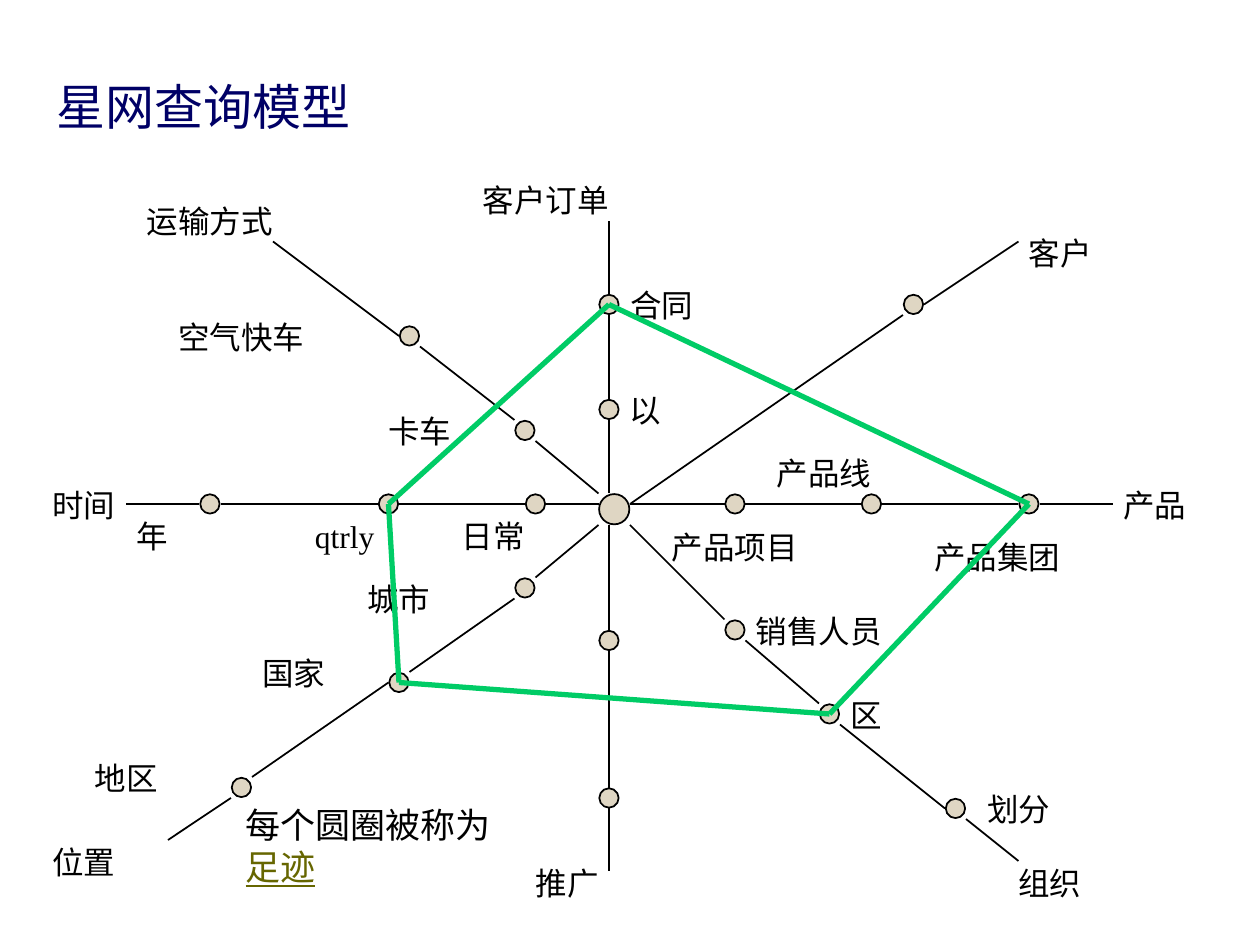
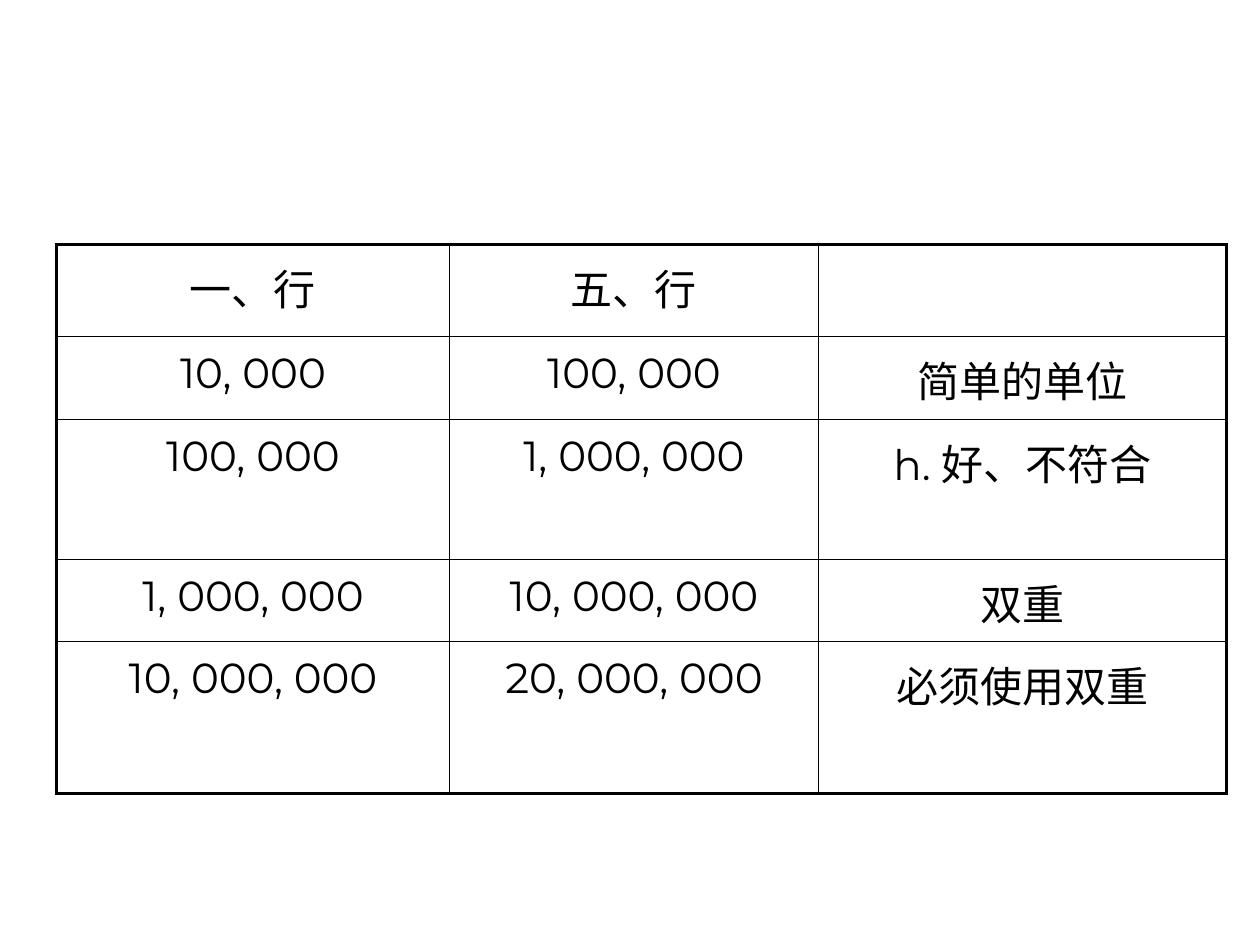
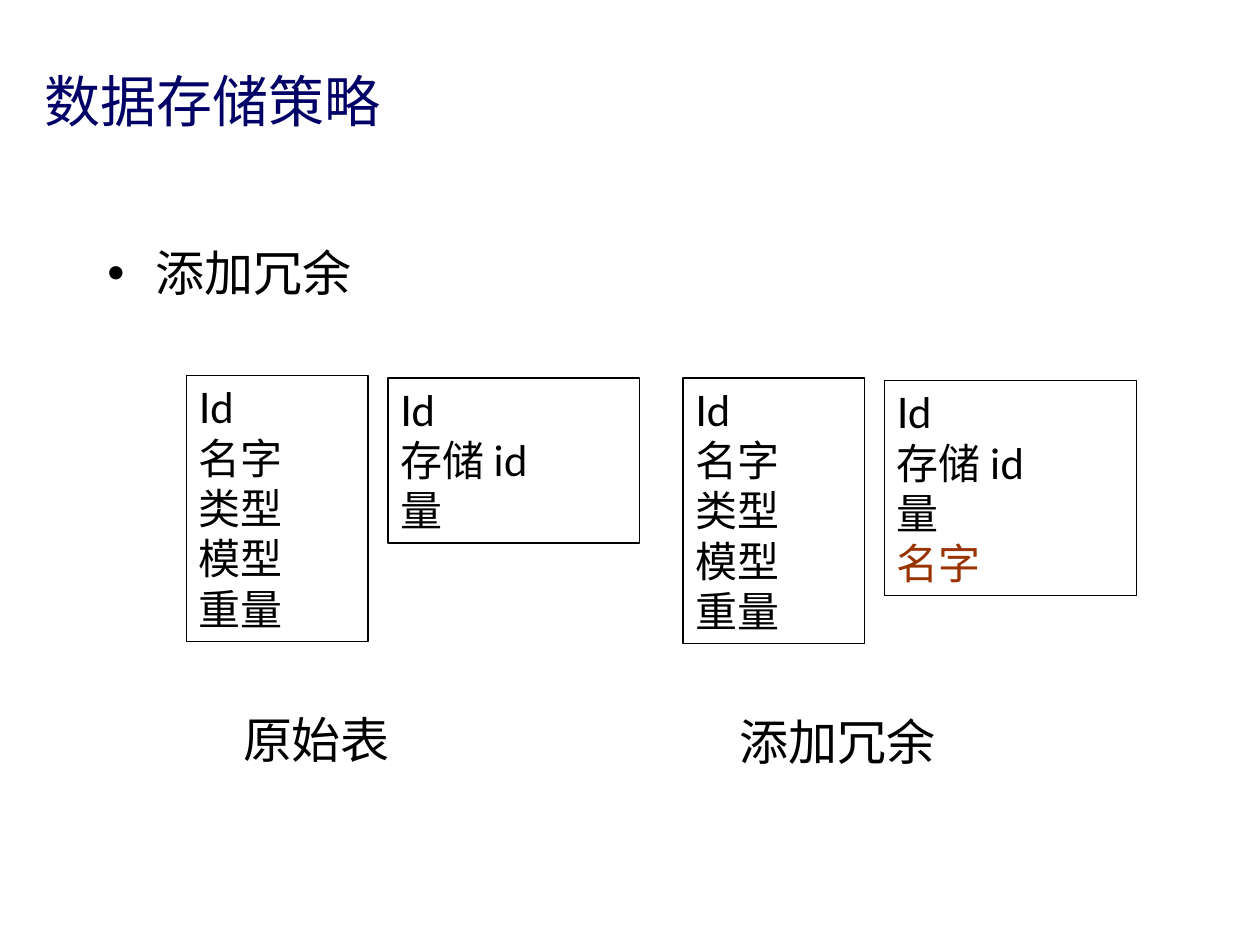
from itertools import pairwise

from pptx import Presentation
from pptx.dml.color import RGBColor
from pptx.enum.shapes import MSO_CONNECTOR, MSO_SHAPE
from pptx.enum.text import MSO_ANCHOR, MSO_AUTO_SIZE, PP_ALIGN
from pptx.oxml.ns import qn
from pptx.util import Cm, Pt
from lxml.etree import SubElement

BLACK = RGBColor(0x00, 0x00, 0x00)
NAVY = RGBColor(0x00, 0x00, 0x66)
SAND = RGBColor(0xDF, 0xD6, 0xC3)
GREEN = RGBColor(0x00, 0xCC, 0x66)
OLIVE = RGBColor(0x66, 0x66, 0x00)
RUST = RGBColor(0x99, 0x33, 0x00)

HEAD, BODY, LABEL = "Montserrat", "Lato", "Times New Roman"
STEP = 2.54 / 12

HUB = (58.5, 48.5)
DOTS = [
    (50, 41), (39, 32), (51, 48), (37, 48), (20, 48), (50, 56), (58, 61),
    (58, 29), (58, 39), (91, 77), (79, 68), (70, 60), (98, 48), (83, 48),
    (70, 48), (87, 29), (38, 65), (23, 75), (58, 76),
]
ARMS = [
    [(58, 47), (58, 40), (58, 38), (58, 30), (58, 28), (58, 21)],
    [(58, 50), (58, 60), (58, 62), (58, 75), (58, 77), (58, 83)],
    [(60, 48), (69, 48), (71, 48), (82, 48), (84, 48), (97, 48), (99, 48), (106, 48)],
    [(57, 48), (52, 48), (50, 48), (38, 48), (36, 48), (21, 48), (19, 48), (12, 48)],
    [(60, 48), (86, 30), (88, 29), (97, 23)],
    [(57, 50), (51, 55), (49, 57), (39, 64), (37, 65), (24, 74), (22, 76), (16, 80)],
    [(57, 47), (51, 42), (49, 40), (40, 33), (38, 32), (26, 23)],
    [(60, 50), (69, 59), (71, 61), (78, 67), (80, 69), (90, 77), (92, 78), (97, 82)],
]
RING = [(37, 48), (38, 65), (79, 68), (98, 48), (58, 29), (37, 48)]
TAGS = [
    ("运输方式", 14, 19, 23), ("空气快车", 17, 30, 21), ("卡车", 37, 39, 13),
    ("以", 60, 37, 13), ("客户订单", 46, 17, 23), ("合同", 60, 27, 20),
    ("客户", 98, 22, 14), ("产品", 107, 46, 12), ("产品集团", 89, 51, 27),
    ("产品线", 74, 43, 24), ("产品项目", 64, 50, 24), ("销售人员", 72, 58, 24),
    ("区", 81, 66, 16), ("划分", 94, 75, 16), ("组织", 97, 82, 18),
    ("推广", 51, 82, 15), ("城市", 35, 55, 9), ("国家", 25, 62, 17),
    ("地区", 9, 72, 14), ("位置", 5, 80, 13), ("日常", 44, 49, 12),
    ("qtrly", 30, 49, 12), ("年", 13, 49, 17), ("时间", 5, 46, 9),
]
ROWS = [
    ("一、行", "五、行", ""),
    ("10, 000", "100, 000", "简单的单位"),
    ("100, 000", "1, 000, 000", "h. 好、不符合"),
    ("1, 000, 000", "10, 000, 000", "双重"),
    ("10, 000, 000", "20, 000, 000", "必须使用双重"),
]
ITEM = ["Id", "名字", "类型", "模型", "重量"]
STORE = ["Id", "存储 id", "量"]


class Deck:
    """Holds the shared style and the slide being built."""

    def __init__(self):
        self.prs = Presentation()
        self.prs.slide_width, self.prs.slide_height = Cm(25.4), Cm(19.05)
        self.slide = None

    def new(self, kind):
        self.slide = self.prs.slides.add_slide(self.prs.slide_layouts[kind])

    def run(self, para, text, size, font, color=BLACK):
        run = para.add_run()
        run.text = text
        run.font.size, run.font.name = Pt(size), font
        run.font.color.rgb = color
        return run

    def place(self, shape, area):
        shape.left, shape.top, shape.width, shape.height = map(Cm, area)
        shape.text_frame.auto_size = MSO_AUTO_SIZE.NONE
        return shape.text_frame

    def title(self, text, size, area):
        frame = self.place(self.slide.shapes.title, area)
        frame.vertical_anchor = MSO_ANCHOR.BOTTOM
        para = frame.paragraphs[0]
        para.alignment = PP_ALIGN.LEFT
        self.run(para, text, size, HEAD, NAVY)

    def bullet(self, text, area):
        para = self.place(self.slide.placeholders[1], area).paragraphs[0]
        props = para._p.get_or_add_pPr()
        props.set("marL", str(Cm(0.97)))
        props.set("indent", str(-Cm(0.97)))
        SubElement(props, qn("a:buChar")).set("char", "•")
        para.line_spacing, para.space_before = 1.1, Pt(0)
        self.run(para, text, 28, HEAD)

    def note(self, text, size, font, area, wrap=False):
        frame = self.slide.shapes.add_textbox(*map(Cm, area)).text_frame
        frame.word_wrap = wrap
        frame.auto_size = MSO_AUTO_SIZE.SHAPE_TO_FIT_TEXT
        para = frame.paragraphs[0]
        self.run(para, text, size, font)
        return para

    def dot(self, spot, size):
        x, y = (Cm(n * STEP - size / 2) for n in spot)
        dot = self.slide.shapes.add_shape(MSO_SHAPE.OVAL, x, y, Cm(size), Cm(size))
        dot.shadow.inherit = False
        dot.fill.solid()
        dot.fill.fore_color.rgb = SAND
        dot.line.color.rgb, dot.line.width = BLACK, Pt(1)

    def line(self, start, end, color=BLACK, width=1):
        ends = [Cm(n * STEP) for n in (*start, *end)]
        line = self.slide.shapes.add_connector(MSO_CONNECTOR.STRAIGHT, *ends)
        line.line.color.rgb, line.line.width = color, Pt(width)
        SubElement(line._element.spPr, qn("a:effectLst"))

    def box(self, lines, area, extra=None):
        box = self.slide.shapes.add_shape(MSO_SHAPE.RECTANGLE, *map(Cm, area))
        box.shadow.inherit = False
        box.fill.background()
        box.line.color.rgb, box.line.width = BLACK, Pt(0.75)
        frame = box.text_frame
        frame.word_wrap = True
        frame.auto_size = MSO_AUTO_SIZE.SHAPE_TO_FIT_TEXT
        frame.vertical_anchor = MSO_ANCHOR.TOP
        inks = [(text, BLACK) for text in lines]
        if extra:
            inks.append((extra, RUST))
        for i, (text, color) in enumerate(inks):
            para = frame.add_paragraph() if i else frame.paragraphs[0]
            para.alignment = PP_ALIGN.LEFT
            self.run(para, text, 24, BODY, color)

    def edge(self, cell, side, width):
        line = SubElement(cell._tc.get_or_add_tcPr(), qn(f"a:ln{side}"), w=str(Pt(width)))
        fill = SubElement(line, qn("a:solidFill"))
        SubElement(fill, qn("a:srgbClr"), val=str(BLACK))

    def table(self, rows, left, top, wides, highs):
        area = map(Cm, (left, top, sum(wides), sum(highs)))
        table = self.slide.shapes.add_table(len(rows), len(wides), *area).table
        table.first_row = table.horz_banding = False
        for col, wide in zip(table.columns, wides):
            col.width = Cm(wide)
        for row, high in zip(table.rows, highs):
            row.height = Cm(high)
        for r, row in enumerate(rows):
            for c, text in enumerate(row):
                cell = table.cell(r, c)
                rims = {"L": c == 0, "R": c == len(wides) - 1,
                        "T": r == 0, "B": r == len(rows) - 1}
                for side, rim in rims.items():
                    self.edge(cell, side, 2.25 if rim else 1)
                cell.fill.background()
                if text:
                    para = cell.text_frame.paragraphs[0]
                    para.alignment, para.line_spacing = PP_ALIGN.CENTER, 1.1
                    self.run(para, text, 24, HEAD)


def star(deck):
    """Draw the star net with its dots, arms, ring and labels."""
    deck.new(5)
    deck.title("星网查询模型", 28, (0.89, 0.74, 19.05, 2.11))
    deck.dot(HUB, 0.61)
    for spot in DOTS:
        deck.dot(spot, 0.39)
    for arm in ARMS:
        for start, end in zip(arm[::2], arm[1::2]):
            deck.line(start, end)
    for text, x, y, wide in TAGS:
        area = (x * STEP - 0.25, y * STEP - 0.07, wide * STEP, 1.02)
        deck.note(text, 18, LABEL, area)
    for start, end in pairwise(RING):
        deck.line(start, end, GREEN, 3)
    para = deck.note("每个圆圈被称为", 20, BODY, (4.7, 16.08, 5.92, 1.96), True)
    deck.run(para, "足迹", 20, BODY, OLIVE).font.underline = True


def sizes(deck):
    """Draw the table of row counts."""
    deck.new(6)
    deck.table(ROWS, 1.14, 4.93, (7.92, 7.44, 8.23), (1.85, 1.68, 2.82, 1.65, 3.07))


def plan(deck):
    """Draw the tables before and after adding redundancy."""
    deck.new(1)
    deck.title("数据存储策略", 32, (0.64, 1.35, 23.93, 1.47))
    deck.bullet("添加冗余", (1.91, 4.65, 22.43, 13.34))
    pairs = [(3.76, 7.57, "原始表", 6.76, 3.33, None),
             (13.77, 7.62, "添加冗余", 7.59, 4.34, "名字")]
    for x, y, name, wide, high, extra in pairs:
        deck.box(ITEM, (x, y, 3.66, 5.36))
        deck.box(STORE, (x + 4.06, y + 0.05, 5.08, high), extra)
        deck.note(name, 28, BODY, (x + 0.89, y + 6.6, wide, 1.45))


def main():
    """Build the slides and save them."""
    deck = Deck()
    for build in (star, sizes, plan):
        build(deck)
    deck.prs.save("out.pptx")


if __name__ == "__main__":
    main()
